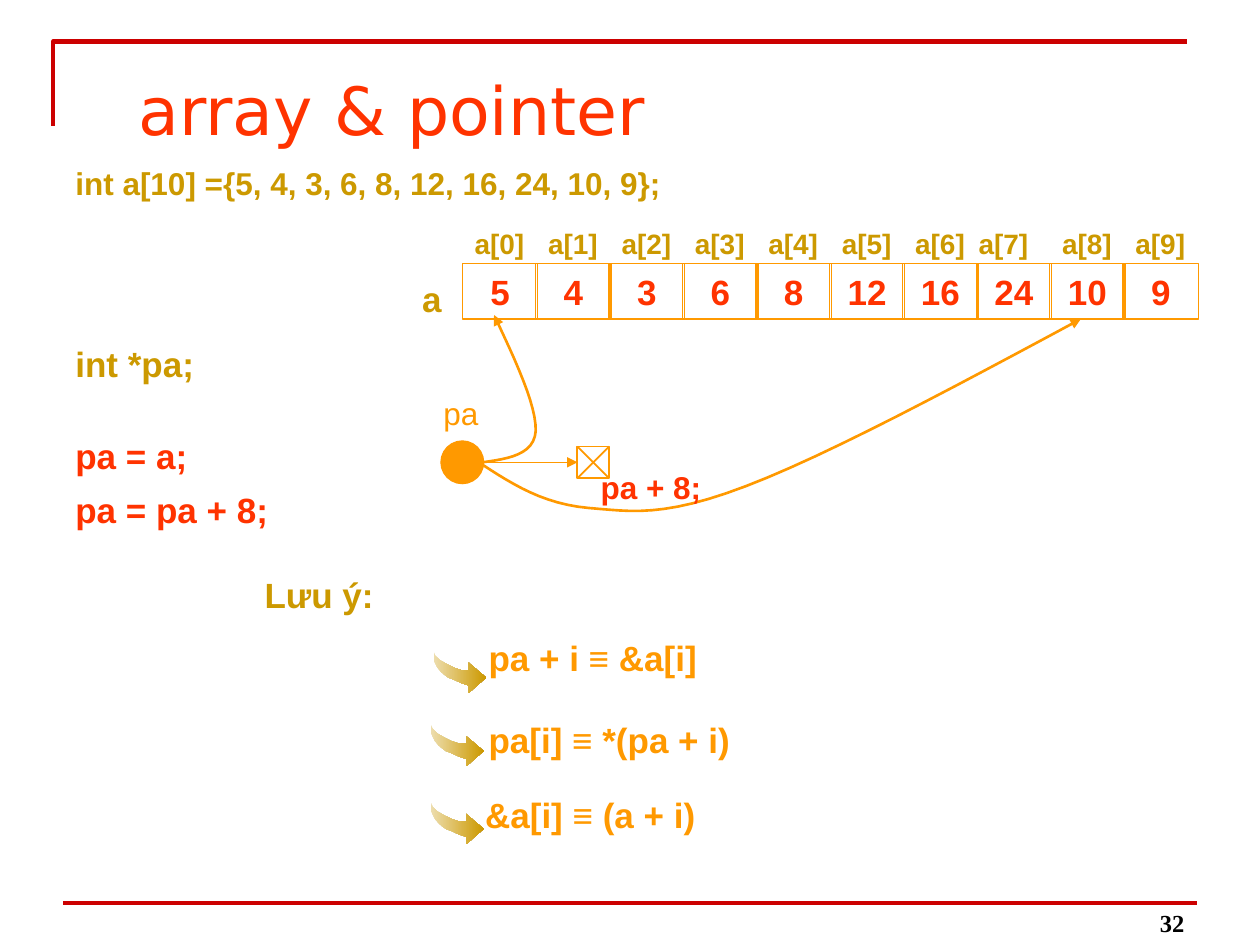
from dataclasses import dataclass

from lxml.etree import SubElement
from pptx import Presentation
from pptx.dml.color import RGBColor
from pptx.enum.shapes import MSO_CONNECTOR as Connector, MSO_SHAPE as Preset
from pptx.enum.text import MSO_ANCHOR as Anchor, MSO_AUTO_SIZE as AutoSize, PP_ALIGN as Align
from pptx.oxml.ns import qn
from pptx.util import Cm, Pt


@dataclass(frozen=True)
class Theme:
    red: RGBColor = RGBColor(0xFF, 0x33, 0x00)
    orange: RGBColor = RGBColor(0xFF, 0x99, 0x00)
    gold: RGBColor = RGBColor(0xCC, 0x99, 0x00)
    pale_gold: RGBColor = RGBColor(0xED, 0xDD, 0xAD)
    frame: RGBColor = RGBColor(0xCC, 0x00, 0x00)
    black: RGBColor = RGBColor(0, 0, 0)
    font: str = "Arial"
    title_font: str = "DejaVu Sans"
    number_font: str = "Times New Roman"
    title: Pt = Pt(38)
    large: Pt = Pt(20)
    medium: Pt = Pt(18)
    small: Pt = Pt(16)
    number: Pt = Pt(14)


theme = Theme()


def write(shape, text, size, color, bold=True, align=Align.LEFT, anchor=Anchor.TOP, font=theme.font):
    """Put one formatted paragraph into a shape."""
    frame = shape.text_frame
    frame.word_wrap = True
    frame.auto_size = AutoSize.NONE
    frame.vertical_anchor = anchor
    paragraph = frame.paragraphs[0]
    paragraph.text = text
    paragraph.alignment = align
    paragraph.font.name, paragraph.font.size = font, size
    paragraph.font.bold, paragraph.font.color.rgb = bold, color


def style_line(shape, color, width, arrow=False):
    """Colour a line, drop its shadow and optionally give it an arrowhead."""
    shape.line.color.rgb = color
    shape.line.width = Pt(width)
    if arrow:
        SubElement(shape.line._get_or_add_ln(), qn("a:tailEnd"), type="triangle")
    if hasattr(shape, "shadow"):
        shape.shadow.inherit = False
    else:
        SubElement(shape._element.spPr, qn("a:effectLst"))


presentation = Presentation()
presentation.slide_width, presentation.slide_height = Cm(25.4), Cm(19.05)
slide = presentation.slides.add_slide(presentation.slide_layouts[1])
shapes = slide.shapes

# Frame lines
builder = shapes.build_freeform(Cm(1.07), Cm(2.54))
builder.add_line_segments([(Cm(1.07), Cm(0.84)), (Cm(23.93), Cm(0.84))], close=False)
bracket = builder.convert_to_shape()
bracket.fill.background()
style_line(bracket, theme.frame, 2.5)
footer_line = shapes.add_connector(Connector.STRAIGHT, Cm(1.27), Cm(18.2), Cm(24.13), Cm(18.2))
style_line(footer_line, theme.frame, 2)

# Title and note heading
title, heading = shapes.title, slide.placeholders[1]
title.left, title.top, title.width, title.height = Cm(2.54), Cm(1.27), Cm(12.98), Cm(1.35)
write(title, "array & pointer", theme.title, theme.red, bold=False, font=theme.title_font)
heading.left, heading.top, heading.width, heading.height = Cm(5.08), Cm(11.53), Cm(3.81), Cm(1.42)
write(heading, "Lưu ý:", theme.large, theme.gold)
heading_paragraph = heading.text_frame.paragraphs[0]
heading_paragraph.line_spacing = 0.9
heading_paragraph.space_before = Pt(0)
properties = heading_paragraph._p.get_or_add_pPr()
properties.set("marL", "0")
properties.set("indent", "0")
SubElement(properties, qn("a:buNone"))
# Paragraph defaults must follow the bullet setting
properties.append(properties.find(qn("a:defRPr")))

# Array cells with their index labels
array_left, pitch = 9.32, 1.48
for index, value in enumerate([5, 4, 3, 6, 8, 12, 16, 24, 10, 9]):
    left = array_left + index * pitch
    cell = shapes.add_shape(Preset.RECTANGLE, Cm(left), Cm(5.31), Cm(1.52), Cm(1.12))
    cell.fill.background()
    style_line(cell, theme.orange, 0.75)
    write(cell, str(value), theme.large, theme.red, align=Align.CENTER, anchor=Anchor.MIDDLE)
    label_left = left - 0.2 if index == 7 else left
    label = shapes.add_textbox(Cm(label_left), Cm(4.45), Cm(1.91), Cm(0.94))
    write(label, f"a[{index}]", theme.small, theme.gold)

# Pointer, the empty target box and the arrow between them
pointer = shapes.add_shape(Preset.OVAL, Cm(8.89), Cm(8.89), Cm(0.86), Cm(0.86))
pointer.fill.solid()
pointer.fill.fore_color.rgb = theme.orange
style_line(pointer, theme.orange, 0.75)

box_left, box_top, box_size = 11.64, 9, 0.64
box_right, box_bottom = box_left + box_size, box_top + box_size
empty_box = shapes.add_shape(Preset.RECTANGLE, Cm(box_left), Cm(box_top), Cm(box_size), Cm(box_size))
empty_box.fill.background()
style_line(empty_box, theme.orange, 1)
for start, end in [(box_left, box_right), (box_right, box_left)]:
    diagonal = shapes.add_connector(Connector.STRAIGHT, Cm(start), Cm(box_top), Cm(end), Cm(box_bottom))
    style_line(diagonal, theme.orange, 1)

pointer_arrow = shapes.add_connector(Connector.STRAIGHT, Cm(9.75), Cm(9.32), Cm(box_left), Cm(9.32))
pointer_arrow.end_connect(empty_box, 1)
style_line(pointer_arrow, theme.orange, 0.75, arrow=True)

# Curved arrows: a start point, then two control points and an end per Bézier piece
curves = [
    [(9.73, 9.32), (10.24, 9.25), (10.77, 9.17), (10.8, 8.69),
     (10.82, 8.18), (10.39, 7.26), (9.96, 6.35)],
    [(9.73, 9.37), (10.36, 9.78), (10.97, 10.16), (11.86, 10.24),
     (12.73, 10.31), (13.36, 10.44), (15.04, 9.8),
     (16.69, 9.17), (19.25, 7.8), (21.79, 6.43)],
]
steps = 12
for curve in curves:
    points = []
    for piece in range(0, len(curve) - 1, 3):
        controls = curve[piece:piece + 4]
        for step in range(1, steps + 1):
            t = step / steps
            weights = [(1 - t) ** 3, 3 * t * (1 - t) ** 2, 3 * t ** 2 * (1 - t), t ** 3]
            points.append([Cm(sum(w * c[axis] for w, c in zip(weights, controls))) for axis in (0, 1)])
    builder = shapes.build_freeform(Cm(curve[0][0]), Cm(curve[0][1]))
    builder.add_line_segments(points, close=False)
    curved_arrow = builder.convert_to_shape()
    curved_arrow.fill.background()
    style_line(curved_arrow, theme.orange, 1.5, arrow=True)

# Code and notes: text, left, top, width, size, colour, bold
texts = [
    ("int a[10] ={5, 4, 3, 6, 8, 12, 16, 24, 10, 9};", 1.27, 3.18, 12.4, theme.medium, theme.gold, True),
    ("a", 8.26, 5.46, 1.27, theme.large, theme.gold, True),
    ("int *pa;", 1.27, 6.78, 2.97, theme.large, theme.gold, True),
    ("pa", 8.69, 7.82, 1.27, theme.medium, theme.orange, False),
    ("pa = a;", 1.27, 8.64, 2.97, theme.large, theme.red, True),
    ("pa + 8;", 11.86, 9.32, 2.97, theme.medium, theme.red, True),
    ("pa = pa + 8;", 1.27, 9.73, 4.65, theme.large, theme.red, True),
    ("pa + i ≡ &a[i]", 9.6, 12.7, 6.55, theme.large, theme.orange, True),
    ("pa[i] ≡ *(pa + i)", 9.6, 14.35, 5.92, theme.large, theme.orange, True),
    ("&a[i] ≡ (a + i)", 9.53, 15.88, 5.72, theme.large, theme.orange, True),
]
for text, left, top, width, size, color, bold in texts:
    text_box = shapes.add_textbox(Cm(left), Cm(top), Cm(width), Cm(1.12))
    write(text_box, text, size, color, bold)

# Swoosh arrows in front of the notes
swoosh = [(0, 0), (0, 0.18), (0.08, 0.33), (0.15, 0.41), (0.23, 0.48), (0.3, 0.53),
          (0.43, 0.58), (0.56, 0.64), (0.71, 0.69), (0.71, 0.84), (1.06, 0.53),
          (0.71, 0.23), (0.71, 0.38), (0.56, 0.38), (0.41, 0.33), (0.25, 0.25),
          (0.13, 0.18), (0.03, 0.08)]
for left, top in [(8.74, 13.13), (8.69, 14.61), (8.69, 16.18)]:
    outline = [(Cm(left + x), Cm(top + y)) for x, y in swoosh]
    builder = shapes.build_freeform(*outline[0])
    builder.add_line_segments(outline[1:], close=True)
    swoosh_arrow = builder.convert_to_shape()
    swoosh_arrow.shadow.inherit = False
    swoosh_arrow.line.fill.background()
    swoosh_arrow.fill.gradient()
    swoosh_arrow.fill.gradient_angle = 0
    for stop, color in zip(swoosh_arrow.fill.gradient_stops, (theme.pale_gold, theme.gold)):
        stop.color.rgb = color

slide_number = shapes.add_textbox(Cm(18.21), Cm(17.75), Cm(5.92), Cm(1.27))
write(slide_number, "32", theme.number, theme.black, align=Align.RIGHT,
      anchor=Anchor.BOTTOM, font=theme.number_font)

presentation.save("out.pptx")
